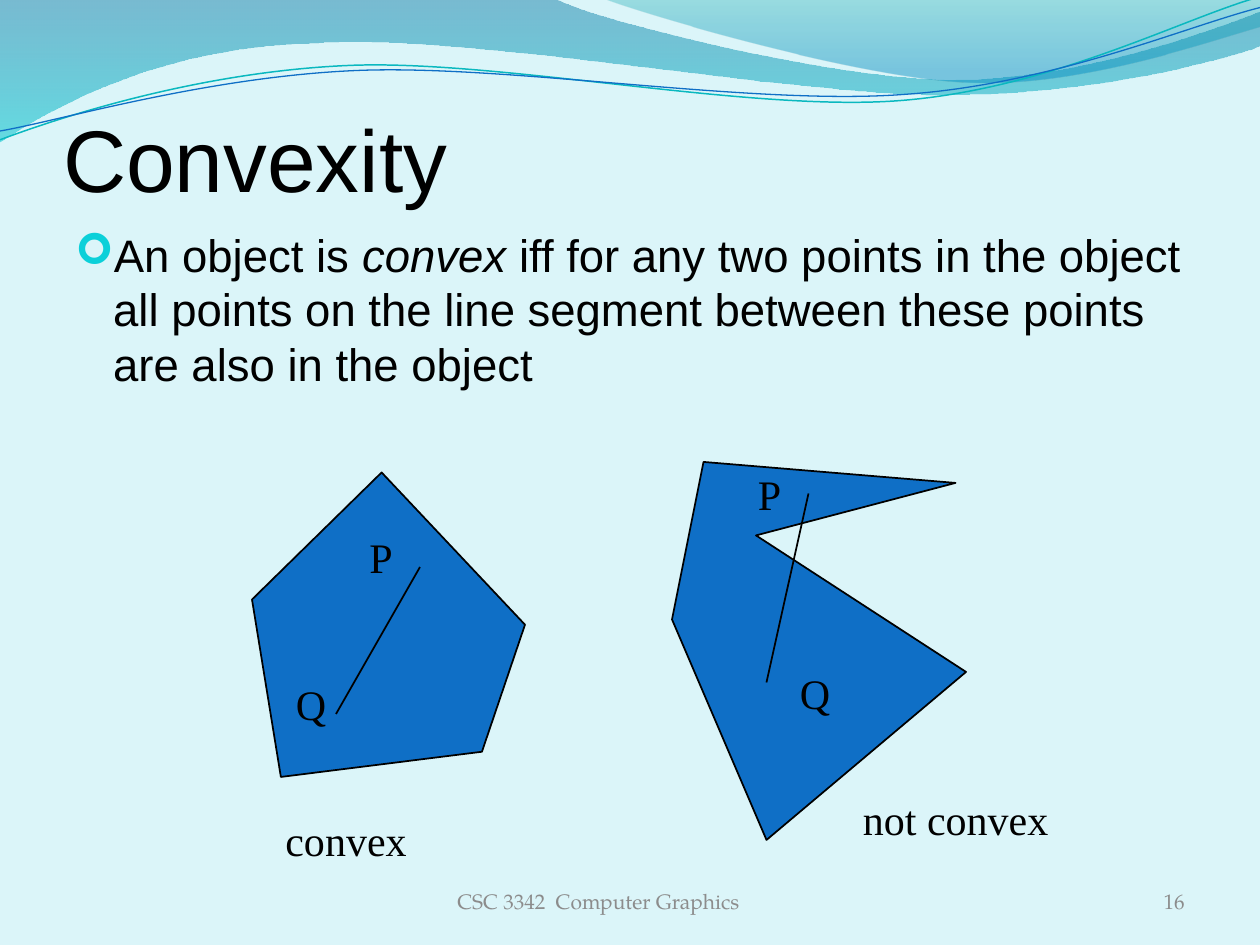
from lxml import etree
from pptx import Presentation
from pptx.dml.color import RGBColor
from pptx.enum.shapes import MSO_CONNECTOR
from pptx.enum.text import MSO_ANCHOR, MSO_AUTO_SIZE, PP_ALIGN
from pptx.oxml.ns import qn
from pptx.util import Inches, Pt

STRAIGHT = MSO_CONNECTOR.STRAIGHT
TOP, MIDDLE, BOTTOM = MSO_ANCHOR.TOP, MSO_ANCHOR.MIDDLE, MSO_ANCHOR.BOTTOM
LEFT, CENTER, RIGHT = PP_ALIGN.LEFT, PP_ALIGN.CENTER, PP_ALIGN.RIGHT
NO_FIT, GROW = MSO_AUTO_SIZE.NONE, MSO_AUTO_SIZE.SHAPE_TO_FIT_TEXT

THEME = {
    "paper": "DBF5F9", "ink": "000000", "blue": "0F6FC6", "teal": "0AB8BF", "bullet": "0BD0D9",
    "title": {"name": "Arial", "size": Pt(50), "color": "000000"},
    "body": {"name": "Arial", "size": Pt(26), "color": "000000"},
    "label": {"name": "Times New Roman", "size": Pt(24), "color": "000000"},
    "footer": {"name": "TeX Gyre Pagella", "size": Pt(12), "color": "8C8C8C"},
}

prs = Presentation()
prs.slide_width, prs.slide_height = Inches(10), Inches(7.5)
CELL = prs.slide_width / 120
SHARE = prs.slide_width / 1000

s = prs.slides.add_slide(prs.slide_layouts[5])
s.background.fill.solid()
s.background.fill.fore_color.rgb = RGBColor.from_string(THEME["paper"])


def write(shape, box, runs, style, align=LEFT, **frame):
    shape.left, shape.top, shape.width, shape.height = [round(v * CELL) for v in box]
    tf = shape.text_frame
    for name, value in frame.items():
        setattr(tf, name, value)
    p = tf.paragraphs[0]
    p.alignment = align
    for text, italic in runs:
        r = p.add_run()
        r.text = text
        r.font.italic = italic
        r.font.name, r.font.size = style["name"], style["size"]
        r.font.color.rgb = RGBColor.from_string(style["color"])
    return p


def outline(points, unit, line=None, width=1, closed=True):
    points = [(x * unit, y * unit) for x, y in points]
    builder = s.shapes.build_freeform(*points[0], scale=1.0)
    builder.add_line_segments(points[1:], close=closed)
    shape = builder.convert_to_shape()
    shape.shadow.inherit = False
    if line:
        shape.line.color.rgb = RGBColor.from_string(line)
        shape.line.width = Pt(width)
    else:
        shape.line.fill.background()
    return shape


waves = [
    {"route": [(0, 0), (440, -1), (476, 17, 664, 63, 758, 63), (853, 63, 958, 26, 1000, 9),
               (1001, 36), (983, 44, 870, 76, 746, 75), (622, 75, 382, 28, 257, 34),
               (129, 36, 46, 83, -1, 113)],
     "stops": [(0, "0074A1", 45), (1, "00C6CF", 55)]},
    {"route": [(479, -1), (509, 11, 682, 62, 769, 65), (856, 69, 961, 32, 1000, 21), (1000, 0)],
     "stops": [(0, "00A1A9", 30), (0.8, "008BBF", 45)]},
    {"route": [(0, 111), (48, 93, 158, 57, 277, 52), (395, 47, 593, 89, 713, 80),
               (833, 71, 938, 15, 998, -2)],
     "line": THEME["teal"], "width": 0.85, "closed": False},
    {"route": [(0, 104), (47, 96, 164, 61, 283, 56), (403, 51, 597, 84, 717, 75),
               (836, 67, 941, 21, 1000, 6)],
     "line": THEME["blue"], "width": 0.75, "closed": False},
]
for wave in waves:
    points = [step[i:i + 2] for step in wave["route"] for i in range(0, len(step), 2)]
    shape = outline(points, SHARE, wave.get("line"), wave.get("width"), wave.get("closed", True))
    segments = iter(list(shape._element.iter(qn("a:lnTo"))))
    for step in wave["route"][1:]:
        segment = next(segments)
        if len(step) == 6:
            curve = etree.Element(qn("a:cubicBezTo"))
            segment.addprevious(curve)
            for part in (segment, next(segments), next(segments)):
                curve.append(part[0])
                part.getparent().remove(part)
    if "stops" not in wave:
        shape.fill.background()
        continue
    shape.fill.gradient()
    shape.fill.gradient_angle = 270
    for stop, (position, color, _) in zip(shape.fill.gradient_stops, wave["stops"]):
        stop.position = position
        stop.color.rgb = RGBColor.from_string(color)
    colors = shape._element.spPr.find(qn("a:gradFill")).iter(qn("a:srgbClr"))
    for color, (_, _, opacity) in zip(list(colors), wave["stops"]):
        etree.SubElement(color, qn("a:alpha"), val=str(opacity * 1000))

title = s.shapes.title
s.shapes._spTree.append(title._element)
write(title, (6, 5, 108, 15), [("Convexity", None)], THEME["title"], vertical_anchor=BOTTOM,
      margin_left=0, margin_right=0, margin_top=Inches(0.05), margin_bottom=0,
      word_wrap=True, auto_size=NO_FIT)

p = write(s.shapes.add_textbox(0, 0, 0, 0), (6, 21, 108, 59.6),
          [("An object is ", None), ("convex", True),
           (" iff for any two points in the object all points on the line segment "
            "between these points are also in the object", None)],
          THEME["body"], word_wrap=True, vertical_anchor=TOP)
p.space_before = Pt(5.2)
pPr = p._p.get_or_add_pPr()
pPr.set("marL", str(Inches(0.3)))
pPr.set("indent", str(-Inches(0.3)))
bullet_color = etree.SubElement(pPr, qn("a:buClr"))
etree.SubElement(bullet_color, qn("a:srgbClr"), val=THEME["bullet"])
etree.SubElement(pPr, qn("a:buSzPct"), val="95000")
etree.SubElement(pPr, qn("a:buFont"), typeface="Wingdings")
etree.SubElement(pPr, qn("a:buChar"), char="➢")

polygons = [
    [(24, 57.1), (36.35, 45), (50, 59.5), (45.9, 71.6), (26.75, 74)],
    [(64, 59), (67, 44), (91, 46), (72, 51), (92, 64), (73, 80)],
]
for corners in polygons:
    shape = outline(corners, CELL, THEME["ink"])
    shape.fill.solid()
    shape.fill.fore_color.rgb = RGBColor.from_string(THEME["blue"])

for segment in [(32, 68, 40, 54), (77, 47, 73, 65)]:
    line = s.shapes.add_connector(STRAIGHT, *[round(v * CELL) for v in segment])
    line.line.color.rgb = RGBColor.from_string(THEME["ink"])
    line.line.width = Pt(1)
    etree.SubElement(line._element.spPr, qn("a:effectLst"))

labels = [("P", 34, 50, 4.7), ("Q", 27, 64, 5.3), ("Q", 75, 63, 5.3), ("P", 71, 44, 4.7),
          ("convex", 26, 77, 14.1), ("not convex", 81, 75, 20.2)]
for text, column, row, width in labels:
    write(s.shapes.add_textbox(0, 0, 0, 0), (column, row, width, 6), [(text, None)],
          THEME["label"], word_wrap=False, auto_size=GROW)

footers = [("CSC 3342  Computer Graphics", 35, 44, CENTER), ("16", 86, 28, RIGHT)]
for text, column, width, align in footers:
    write(s.shapes.add_textbox(0, 0, 0, 0), (column, 83.4, width, 4.8), [(text, None)],
          THEME["footer"], align, word_wrap=True, vertical_anchor=MIDDLE)

prs.save("out.pptx")
